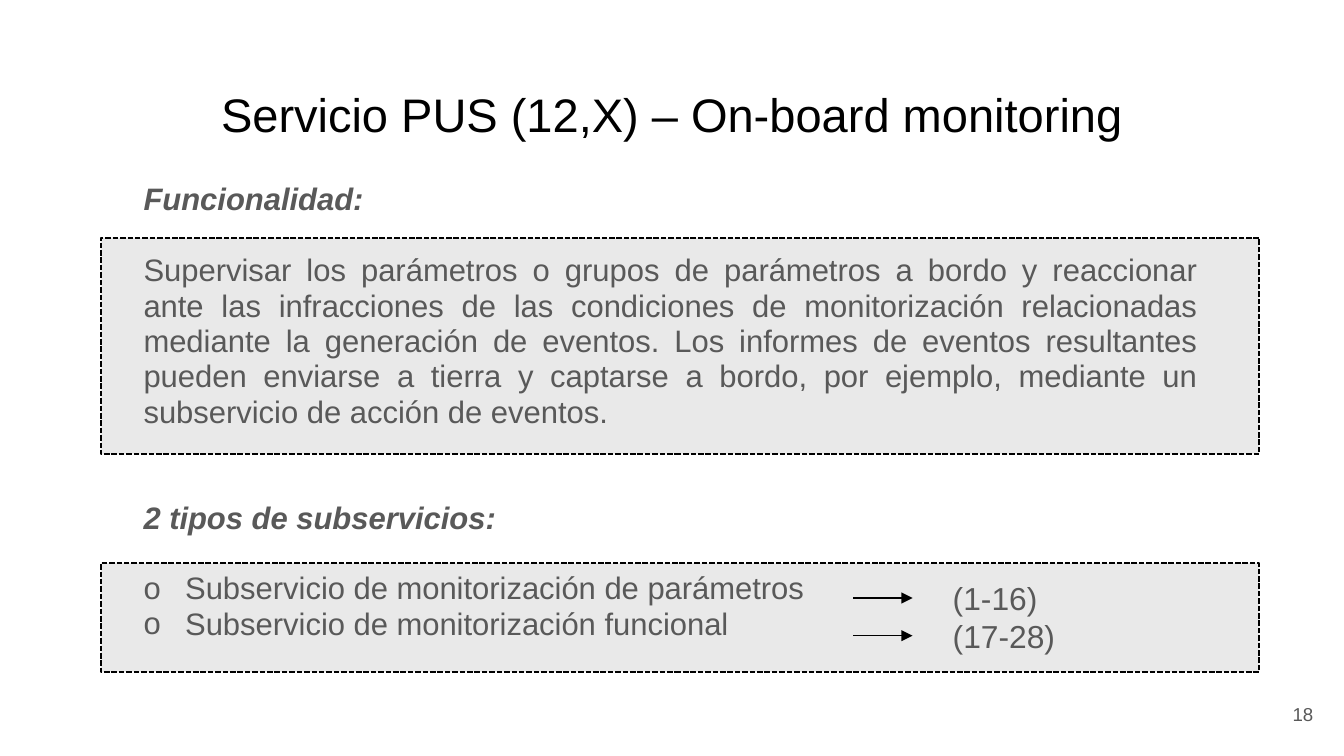
"""Build the slide on the PUS on-board monitoring service."""
from typing import NamedTuple

from lxml.etree import SubElement
from pptx import Presentation
from pptx.dml.color import RGBColor
from pptx.enum.dml import MSO_LINE_DASH_STYLE as Dash
from pptx.enum.shapes import MSO_CONNECTOR as Connector
from pptx.enum.shapes import MSO_SHAPE as Shape
from pptx.enum.text import MSO_ANCHOR as Anchor
from pptx.enum.text import MSO_AUTO_SIZE as AutoSize
from pptx.enum.text import PP_ALIGN as Align
from pptx.oxml.ns import qn
from pptx.util import Inches, Pt

WIDTH = Inches(10)
HEIGHT = WIDTH * 9 // 16
BLACK, GREY, PANEL = "000000", "595959", "E9E9E9"
FONT = "Arial"
BODY_SIZE, BODY_SPACING, BODY_LINE = 16.6, 0.95, 18.95


class Area(NamedTuple):
    """A rectangle in percent of the slide's width and height."""

    left: float
    top: float
    width: float
    height: float


class Line(NamedTuple):
    """A body paragraph: wording, blank lines above, heading or bullet."""

    text: str
    gap: int = 0
    heading: bool = False
    bullet: bool = False


PANELS = [Area(7.5, 74.49, 86.2, 14.4), Area(7.5, 31.47, 86.2, 28.62)]
ARROW_ROWS = [79.11, 84.09]
BODY = [
    Line("Funcionalidad:", heading=True),
    Line(
        "Supervisar los parámetros o grupos de parámetros a bordo y reaccionar "
        "ante las infracciones de las condiciones de monitorización relacionadas "
        "mediante la generación de eventos. Los informes de eventos resultantes "
        "pueden enviarse a tierra y captarse a bordo, por ejemplo, mediante un "
        "subservicio de acción de eventos.",
        gap=1,
    ),
    Line("2 tipos de subservicios:", gap=2, heading=True),
    Line("Subservicio de monitorización de parámetros", gap=1, bullet=True),
    Line("Subservicio de monitorización funcional", bullet=True),
]


def across(share: float) -> int:
    """Turn a percentage of the slide's width into a length."""
    return round(WIDTH * share / 100)


def down(share: float) -> int:
    """Turn a percentage of the slide's height into a length."""
    return round(HEIGHT * share / 100)


def place(area: Area) -> tuple[int, int, int, int]:
    """Return left, top, width and height as lengths."""
    return across(area.left), down(area.top), across(area.width), down(area.height)


def color(value: str) -> RGBColor:
    """Read a hex string as a colour."""
    return RGBColor.from_string(value)


def set_frame(frame, side: float, edge: float, anchor=Anchor.TOP) -> None:
    """Set wrapping, margins and anchor of a text frame."""
    frame.word_wrap = True
    frame.auto_size = AutoSize.NONE
    frame.vertical_anchor = anchor
    frame.margin_left = frame.margin_right = Inches(side)
    frame.margin_top = frame.margin_bottom = Inches(edge)


def write(para, text: str, size: float, align=Align.LEFT, ink: str = GREY) -> None:
    """Fill a paragraph and format it."""
    para.text = text
    para.alignment = align
    para.font.name = FONT
    para.font.size = Pt(size)
    para.font.color.rgb = color(ink)


def add_text(slide, area: Area, lines: list[str], size: float, align=Align.LEFT,
             side: float = 0.1, edge: float = 0.1, anchor=Anchor.TOP) -> list:
    """Add a text box and return its paragraphs."""
    frame = slide.shapes.add_textbox(*place(area)).text_frame
    set_frame(frame, side, edge, anchor)
    for index, text in enumerate(lines):
        para = frame.add_paragraph() if index else frame.paragraphs[0]
        write(para, text, size, align)
    return list(frame.paragraphs)


def add_panel(slide, area: Area) -> None:
    """Add a grey panel with a dashed outline."""
    panel = slide.shapes.add_shape(Shape.RECTANGLE, *place(area))
    panel.shadow.inherit = False
    panel.fill.solid()
    panel.fill.fore_color.rgb = color(PANEL)
    panel.line.color.rgb = color(BLACK)
    panel.line.width = Pt(1)
    panel.line.dash_style = Dash.SQUARE_DOT


def add_arrow(slide, row: float) -> None:
    """Add a horizontal arrow at a given height."""
    arrow = slide.shapes.add_connector(
        Connector.STRAIGHT, across(63.5), down(row), across(67.9), down(row))
    arrow.line.color.rgb = color(BLACK)
    arrow.line.width = Pt(0.75)
    SubElement(arrow.line._get_or_add_ln(), qn("a:tailEnd"), type="triangle")
    SubElement(arrow._element.spPr, qn("a:effectLst"))


def add_bullet(para) -> None:
    """Give a paragraph a hanging letter bullet."""
    props = para._p.get_or_add_pPr()
    props.set("marL", str(Inches(0.31)))
    props.set("indent", str(-Inches(0.31)))
    tint = SubElement(props, qn("a:buClr"))
    SubElement(tint, qn("a:srgbClr"), val=GREY)
    SubElement(props, qn("a:buFont"), typeface=FONT)
    SubElement(props, qn("a:buChar"), char="o")
    props.append(props.find(qn("a:defRPr")))


def add_body(slide) -> None:
    """Add the headings, description and list of subservices."""
    texts = [line.text for line in BODY]
    area = Area(9.7, 22.4, 80.3, 66.49)
    paras = add_text(slide, area, texts, BODY_SIZE, Align.JUSTIFY)
    for para, line in zip(paras, BODY):
        para.line_spacing = BODY_SPACING
        para.space_before = Pt(line.gap * BODY_LINE)
        para.font.bold = para.font.italic = line.heading
        if line.bullet:
            add_bullet(para)


def add_title(slide) -> None:
    """Move, fill and format the title placeholder."""
    title = slide.shapes.title
    title.left, title.top, title.width, title.height = place(Area(0, 9.42, 100, 11.2))
    set_frame(title.text_frame, 0.1, 0.1, Anchor.BOTTOM)
    write(title.text_frame.paragraphs[0], "Servicio PUS (12,X) – On-board monitoring",
          25.2, Align.CENTER, BLACK)


def main() -> None:
    """Build and save the deck."""
    deck = Presentation()
    deck.slide_width, deck.slide_height = WIDTH, HEIGHT
    slide = deck.slides.add_slide(deck.slide_layouts.get_by_name("Title Only"))
    add_title(slide)
    for area in PANELS:
        add_panel(slide, area)
    add_body(slide)
    add_text(slide, Area(92.7, 90.67, 6, 7.64), ["18"], 10, Align.RIGHT,
             anchor=Anchor.MIDDLE)
    for row in ARROW_ROWS:
        add_arrow(slide, row)
    add_text(slide, Area(69.9, 75.73, 21.9, 11.91), ["(1-16)", "(17-28)"], 17,
             edge=0.05)
    deck.save("out.pptx")


if __name__ == "__main__":
    main()
